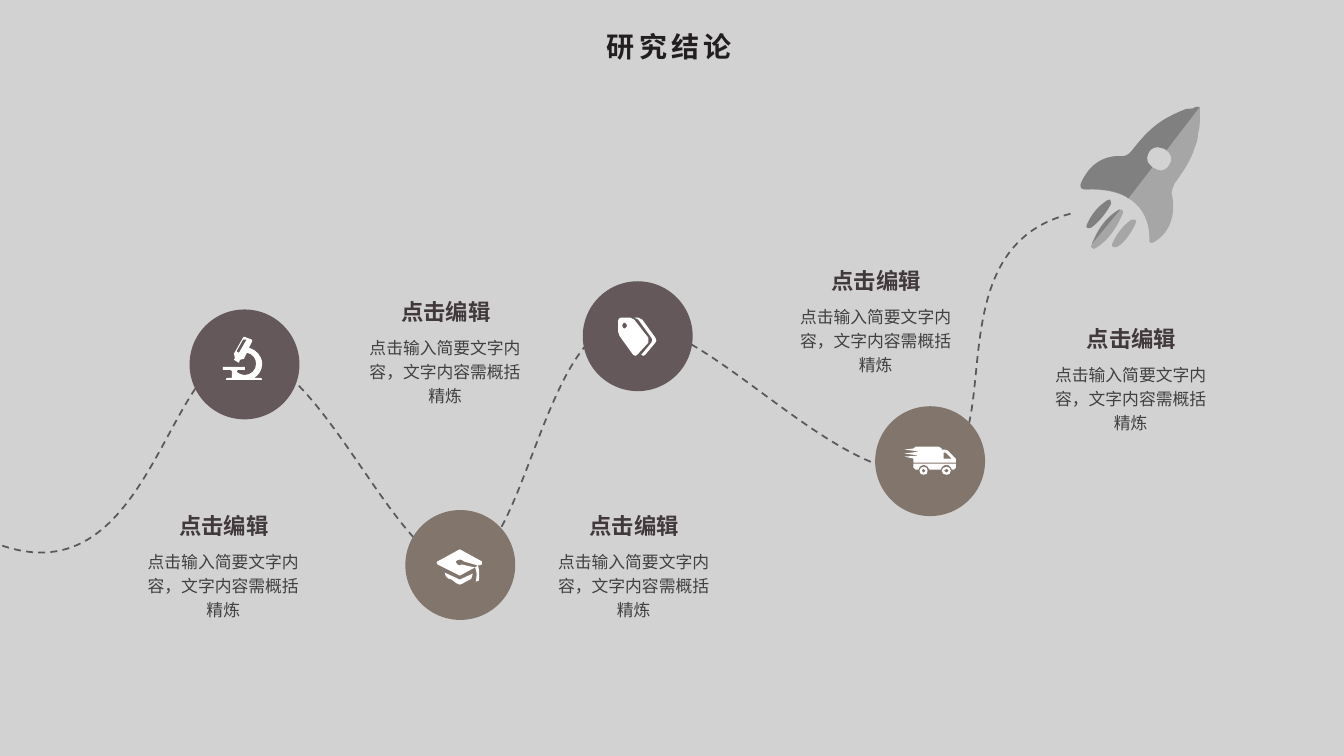
from dataclasses import dataclass

from lxml import etree
from pptx import Presentation
from pptx.dml.color import RGBColor
from pptx.enum.dml import MSO_LINE
from pptx.enum.shapes import MSO_SHAPE
from pptx.enum.text import MSO_ANCHOR, MSO_AUTO_SIZE, PP_ALIGN
from pptx.oxml.ns import qn
from pptx.util import Inches, Pt

OVAL = MSO_SHAPE.OVAL
DASH = MSO_LINE.DASH
TOP, MIDDLE = MSO_ANCHOR.TOP, MSO_ANCHOR.MIDDLE
LEFT, CENTER = PP_ALIGN.LEFT, PP_ALIGN.CENTER
NO_AUTOFIT = MSO_AUTO_SIZE.NONE


@dataclass(frozen=True)
class Theme:
    """Colours, typeface and type sizes of the slide."""
    font: str = "Noto Sans CJK SC"
    background: str = "D2D2D2"
    plum: str = "64585A"
    taupe: str = "82756C"
    icon: str = "FFFFFF"
    trail: str = "595959"
    rocket_light: str = "A6A6A6"
    rocket_dark: str = "808080"
    title: str = "231F20"
    heading: str = "41393B"
    body: str = "404040"
    title_size: int = 20
    heading_size: int = 16
    body_size: int = 12


THEME = Theme()
SLIDE_WIDTH, SLIDE_HEIGHT = 13.33, 7.5
STRAIGHT_LIMIT = 3
DISC = 1.09
LINE_SPACING = 1.2

TRAIL = """M-9 537 C150 604 164 347 242 351 320 355 395 566 457 561 519 556 538 336 614 321
691 306 820 474 915 469 1011 465 916 248 1062 212"""

MICROSCOPE = """M33 41 L31 41 C36 38 39 33 39 27 39 19 33 13 26 11 L29 5 29 3
21 0 20 1 11 17 12 21 11 23 16 26 17 23 21 22 24 16
C29 17 33 21 33 27 33 33 28 38 22 38 20 38 16 37 14 35 L14 34 15 33 22 33 22 30 0 30
0 33 7 33 9 34 9 41 C6 41 3 40 3 43 L39 43 C39 40 36 41 33 41
M24 3 L23 4 16 16 14 15 14 14 20 3 22 3"""

TAGS = """M30 20 L30 23 30 25 19 37 17 38 15 37 2 19 1 17 0 14 0 3 1 1 3 0 12 0 14 1 16 2
M6 11 L8 10 9 8 8 6 6 5 5 6 4 8 5 10
M37 20 L38 23 37 25 27 37 25 38 23 37 33 25 34 22 33 20 20 2 18 1 16 0 20 0 22 1 24 2"""

VAN = """M19 20 C17 20 15 22 15 24 15 27 17 28 19 28 22 28 23 27 23 24 23 22 22 20 19 20
M19 26 L17 24 19 22 21 24
M42 20 C39 20 37 22 37 24 37 27 39 28 42 28 44 28 46 27 46 24 46 22 44 20 42 20
M42 26 L39 24 42 22 44 24
M51 17 L51 21 49 23 47 23 C47 21 44 18 42 18 39 18 36 21 36 23 L25 23
C24 21 22 18 19 18 16 18 14 21 14 23 L11 23 9 21 9 17
M51 12 L43 4 40 3 37 3 37 2 34 0 11 0 9 2 0 3 15 5 0 7 15 9 0 10 9 12 9 16 51 16 51 14
M47 12 L39 12 39 6 41 6"""

CAP = """M8 23 C9 27 10 29 15 30 19 33 21 35 23 35 25 35 27 33 31 31 36 29 34 29 36 24 L23 30
M45 12 L25 1 23 0 21 1 1 12 0 13 1 15 21 25 23 26 25 25 38 18 25 15 23 16
C21 16 19 14 19 12 19 12 21 10 23 10 25 10 26 11 27 12 L41 16 45 15
M39 32 L42 31 C43 20 41 16 41 16 L38 18 C38 18 41 21 39 32"""

NOSE = """0 82 -1 79 0 76 4 67 15 47 42 49 45 49 49 46 51 43 56 37 66 23 82 13
92 7 100 4 105 2 109 2 112 2 112 1 113 1 113 0 115 0"""
SIDE_FLAME = """M29 92 L30 96 C27 102 20 113 10 120 6 121 5 120 6 117
9 110 15 100 26 93 L29 92"""
ROCKET_BODY = f"""M54 112 L55 114 C52 121 45 134 36 139 33 140 30 139 31 136
34 129 40 119 50 112 L54 112
M41 102 L42 105 C38 114 30 132 13 141 10 143 9 141 10 139
13 129 21 111 38 102 L41 102 {SIDE_FLAME}
M75 40 C73 40 71 41 68 43 L67 46 C64 52 66 59 73 61 77 64 83 64 86 60
L88 57 C92 52 89 45 83 42 81 41 78 40 75 40
M115 0 L116 0 118 1 118 5 118 12 C118 16 118 22 116 27 L116 30 115 35 111 46
C107 56 101 65 93 76 92 78 90 83 90 86 93 97 94 121 73 134 70 136 67 135 68 131
68 116 63 80 4 82 {NOSE}"""
ROCKET_SHADE = f"""M39 102 L11 136 14 130 C18 121 26 109 38 102 {SIDE_FLAME}
M115 0 L118 0 85 43 84 42 C81 41 78 40 76 40 73 40 71 41 69 43 L67 46
C65 50 65 55 69 58 L71 60 47 91 45 89 C36 84 23 81 4 82 {NOSE}"""

STATIONS = (
    (4.02, 5.06, THEME.taupe, CAP, 0.31, 0.39),
    (5.78, 2.79, THEME.plum, TAGS, 0.35, 0.36),
    (8.68, 4.03, THEME.taupe, VAN, 0.29, 0.4),
    (1.88, 3.07, THEME.plum, MICROSCOPE, 0.33, 0.27),
)
NOTES = ((1.35, 5.04), (5.42, 5.04), (3.55, 2.92), (7.82, 2.61), (10.35, 3.19))
NOTE_HEADING = "点击编辑"
NOTE_BODY = "点击输入简要文字内容，文字内容需概括精炼"


def apply(target, **values):
    """Set every given attribute on the target."""
    for name, value in values.items():
        setattr(target, name, value)


def contours(outline):
    """Turn an outline in hundredths of an inch into lists of segments of points."""
    found = []
    for command in "MLC":
        outline = outline.replace(command, f" |{command} ")
    for piece in outline.split("|")[1:]:
        command, *numbers = piece.split()
        values = [int(number) for number in numbers]
        points = list(zip(values[::2], values[1::2]))
        if command == "M":
            found.append([points])
            continue
        size = 3 if command == "C" else 1
        for index in range(0, len(points), size):
            segment = points[index:index + size]
            reach = max(abs(a - b) for a, b in zip(found[-1][-1][-1], segment[-1]))
            found[-1].append(segment if reach > STRAIGHT_LIMIT else segment[-1:])
    return found


def bend(shape, segments, origin):
    """Replace the straight segments of a freeform by its cubic curves."""
    straights = list(shape._element.iter(qn("a:lnTo")))
    for straight, segment in zip(straights, segments):
        if len(segment) == 3:
            curve = etree.Element(qn("a:cubicBezTo"))
            for x, y in segment:
                point = etree.SubElement(curve, qn("a:pt"))
                point.set("x", str(x - origin[0]))
                point.set("y", str(y - origin[1]))
            straight.getparent().replace(straight, curve)


def draw_outline(slide, left, top, outline, fill=None):
    """Draw a filled outline, or an open one when no fill is given."""
    parts = contours(outline)
    anchors = [[segment[-1] for segment in part] for part in parts]
    builder = slide.shapes.build_freeform(*anchors[0][0], scale=Inches(0.01))
    for index, points in enumerate(anchors):
        if index:
            builder.move_to(*points[0])
        builder.add_line_segments(points[1:], close=bool(fill))
    shape = builder.convert_to_shape(Inches(left), Inches(top))
    origin = [min(values) for values in zip(*(point for points in anchors for point in points))]
    bend(shape, [segment for part in parts for segment in part[1:]], origin)
    if fill:
        paint(shape, fill)
    else:
        shape.shadow.inherit = False
        shape.fill.background()
    return shape


def paint(shape, color):
    """Give a shape a plain fill without a line."""
    shape.shadow.inherit = False
    shape.fill.solid()
    shape.fill.fore_color.rgb = RGBColor.from_string(color)
    shape.line.fill.background()


def write(shape, text, color, size, align, anchor, bold=False, spacing=None, wrap=True):
    """Write one formatted paragraph into a shape."""
    frame = shape.text_frame
    apply(frame, text=text, word_wrap=wrap, auto_size=NO_AUTOFIT, vertical_anchor=anchor,
          margin_left=Inches(0.1), margin_right=Inches(0.1),
          margin_top=Inches(0.05), margin_bottom=Inches(0.05))
    paragraph = frame.paragraphs[0]
    apply(paragraph, alignment=align, line_spacing=spacing)
    font = paragraph.runs[0].font
    apply(font, name=THEME.font, size=Pt(size), bold=bold)
    font.color.rgb = RGBColor.from_string(color)
    properties = paragraph.runs[0]._r.get_or_add_rPr()
    etree.SubElement(properties, qn("a:ea")).set("typeface", THEME.font)
    return properties


def add_title(slide, left, top, width, height):
    """Place the slide title with wide letter spacing."""
    title = slide.shapes.title
    apply(title, left=Inches(left), top=Inches(top), width=Inches(width), height=Inches(height))
    properties = write(title, "研究结论", THEME.title, THEME.title_size, LEFT, MIDDLE,
                       bold=True, wrap=False)
    properties.set("spc", "300")


def add_trail(slide):
    """Draw the dashed path that joins the stations to the rocket."""
    trail = draw_outline(slide, 0, 0, TRAIL)
    apply(trail.line, width=Pt(1.25), dash_style=DASH)
    trail.line.color.rgb = RGBColor.from_string(THEME.trail)


def add_station(slide, left, top, color, icon, icon_left, icon_top):
    """Draw a disc with its icon."""
    disc = slide.shapes.add_shape(OVAL, Inches(left), Inches(top), Inches(DISC), Inches(DISC))
    paint(disc, color)
    draw_outline(slide, left + icon_left, top + icon_top, icon, THEME.icon)


def add_rocket(slide, left, top):
    """Draw the rocket with its shaded half."""
    draw_outline(slide, left, top, ROCKET_BODY, THEME.rocket_light)
    draw_outline(slide, left, top, ROCKET_SHADE, THEME.rocket_dark)


def add_note(slide, left, top):
    """Place a heading above its short text."""
    heading = slide.shapes.add_textbox(Inches(left + 0.33), Inches(top), Inches(1.23), Inches(0.29))
    write(heading, NOTE_HEADING, THEME.heading, THEME.heading_size, LEFT, MIDDLE,
          bold=True, spacing=LINE_SPACING)
    body = slide.shapes.add_textbox(Inches(left), Inches(top + 0.34), Inches(1.73), Inches(0.83))
    write(body, NOTE_BODY, THEME.body, THEME.body_size, CENTER, TOP, spacing=LINE_SPACING)


def main():
    """Build and save the slide."""
    deck = Presentation()
    apply(deck, slide_width=Inches(SLIDE_WIDTH), slide_height=Inches(SLIDE_HEIGHT))
    slide = deck.slides.add_slide(deck.slide_layouts[5])
    slide.background.fill.solid()
    slide.background.fill.fore_color.rgb = RGBColor.from_string(THEME.background)
    add_title(slide, 5.92, 0.24, 1.49, 0.44)
    add_trail(slide)
    for station in STATIONS:
        add_station(slide, *station)
    add_rocket(slide, 10.72, 1.06)
    for note in NOTES:
        add_note(slide, *note)
    deck.save("out.pptx")


if __name__ == "__main__":
    main()
